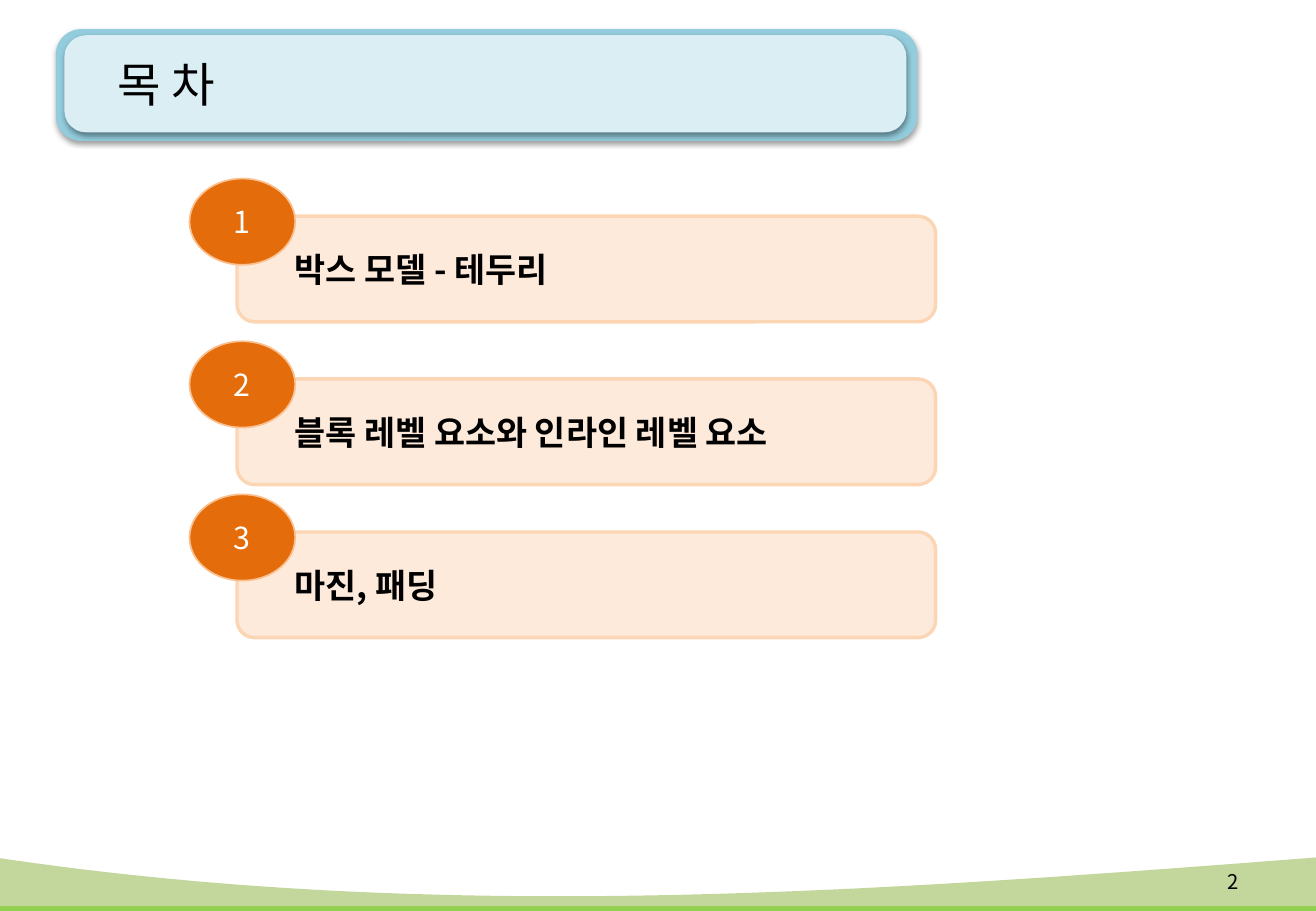
from dataclasses import dataclass

from lxml.etree import SubElement
from pptx import Presentation
from pptx.dml.color import RGBColor
from pptx.enum.shapes import MSO_SHAPE as Preset
from pptx.enum.text import MSO_ANCHOR as Anchor, PP_ALIGN as Align
from pptx.oxml.ns import qn
from pptx.util import Inches, Pt


@dataclass(frozen=True)
class Theme:
    font: str = "Noto Sans CJK KR"
    ink: str = "000000"
    white: str = "FFFFFF"
    title_border: str = "93CDDD"
    title_fill: str = "DBEEF4"
    topic_fill: str = "FDEADA"
    topic_line: str = "FCD5B5"
    badge_fill: str = "E46C0A"
    badge_line: str = "FAC090"
    hill: str = "C3D69B"
    grass: str = "92D050"
    title_size: int = 28
    topic_size: int = 20
    badge_size: int = 18
    page_size: int = 12


THEME = Theme()
TOPICS = [
    (1.78, "박스 모델 - 테두리"),
    (3.12, "블록 레벨 요소와 인라인 레벨 요소"),
    (4.38, "마진, 패딩"),
]


def place(shape, left, top, width, height):
    shape.left, shape.top = Inches(left), Inches(top)
    shape.width, shape.height = Inches(width), Inches(height)


def paint(shape, fill, line=None, line_width=1):
    shape.shadow.inherit = False
    shape.fill.solid()
    shape.fill.fore_color.rgb = RGBColor.from_string(fill)
    if line:
        shape.line.color.rgb = RGBColor.from_string(line)
        shape.line.width = Pt(line_width)
    else:
        shape.line.fill.background()


def write(shape, text, size, color=THEME.ink, align=Align.LEFT, bold=False, indent=0.1):
    frame = shape.text_frame
    frame.word_wrap = True
    frame.vertical_anchor = Anchor.MIDDLE
    frame.margin_left = Inches(indent)
    paragraph = frame.paragraphs[0]
    paragraph.text = text
    paragraph.alignment = align
    font = paragraph.font
    font.name = THEME.font
    font.size = Pt(size)
    font.bold = bold
    font.color.rgb = RGBColor.from_string(color)
    properties = paragraph._p.pPr.find(qn("a:defRPr"))
    SubElement(properties, qn("a:ea"), typeface=THEME.font)


def add_shadow(shape):
    effects = shape._element.spPr.find(qn("a:effectLst"))
    shadow = SubElement(effects, qn("a:outerShdw"), blurRad=str(Pt(3.1)),
                        dist=str(Pt(1.6)), dir="5400000", rotWithShape="0")
    color = SubElement(shadow, qn("a:srgbClr"), val=THEME.ink)
    SubElement(color, qn("a:alpha"), val="38000")


def add_title_panel(slide, left, top, width, height, fill):
    panel = slide.shapes.add_shape(Preset.ROUNDED_RECTANGLE, Inches(left),
                                   Inches(top), Inches(width), Inches(height))
    panel.adjustments[0] = 0.225
    paint(panel, fill)
    add_shadow(panel)


def add_wave(slide, heights, bottom, fill, steps=60):
    controls = list(zip((-0.04, 3.64, 7.19, 10.83), heights))

    def curve_point(t):
        weights = ((1 - t) ** 3, 3 * t * (1 - t) ** 2, 3 * t * t * (1 - t), t ** 3)
        return tuple(Inches(sum(weight * point[axis]
                                for weight, point in zip(weights, controls)))
                     for axis in (0, 1))

    crest = [curve_point(step / steps) for step in range(steps + 1)]
    builder = slide.shapes.build_freeform(*crest[0])
    base = [(crest[-1][0], Inches(bottom)), (crest[0][0], Inches(bottom))]
    builder.add_line_segments(crest[1:] + base, close=True)
    paint(builder.convert_to_shape(), fill)


def add_title(slide, text):
    title = slide.shapes.title
    slide.shapes._spTree.append(title._element)
    place(title, 0.46, 0.22, 7.01, 0.94)
    write(title, text, THEME.title_size, indent=0.51)


def add_page_number(slide, number):
    box = slide.shapes.add_textbox(Inches(9.68), Inches(7.06), Inches(0.61), Inches(0.4))
    write(box, number, THEME.page_size, align=Align.RIGHT)


def add_topic(slide, number, top, text):
    bar = slide.shapes.add_shape(Preset.ROUNDED_RECTANGLE, Inches(1.95), Inches(top),
                                 Inches(5.75), Inches(0.87))
    paint(bar, THEME.topic_fill, THEME.topic_line, 2)
    write(bar, text, THEME.topic_size, bold=True, indent=0.43)
    badge = slide.shapes.add_shape(Preset.OVAL, Inches(1.56), Inches(top - 0.31),
                                   Inches(0.87), Inches(0.71))
    paint(badge, THEME.badge_fill, THEME.badge_line)
    write(badge, str(number), THEME.badge_size, THEME.white, Align.CENTER)


def main():
    presentation = Presentation()
    presentation.slide_width = Inches(10.83)
    presentation.slide_height = Inches(7.5)
    slide = presentation.slides.add_slide(presentation.slide_layouts[5])

    add_wave(slide, (7.24, 7.6, 7.43, 7.24), 7.5, THEME.grass)
    add_title_panel(slide, 0.46, 0.24, 7.09, 0.92, THEME.title_border)
    add_title_panel(slide, 0.53, 0.29, 6.93, 0.8, THEME.title_fill)
    add_wave(slide, (7.06, 7.61, 7.34, 7.06), 7.46, THEME.hill)
    add_title(slide, "목 차")
    add_page_number(slide, "2")
    for number, (top, text) in enumerate(TOPICS, start=1):
        add_topic(slide, number, top, text)

    presentation.save("out.pptx")


if __name__ == "__main__":
    main()
